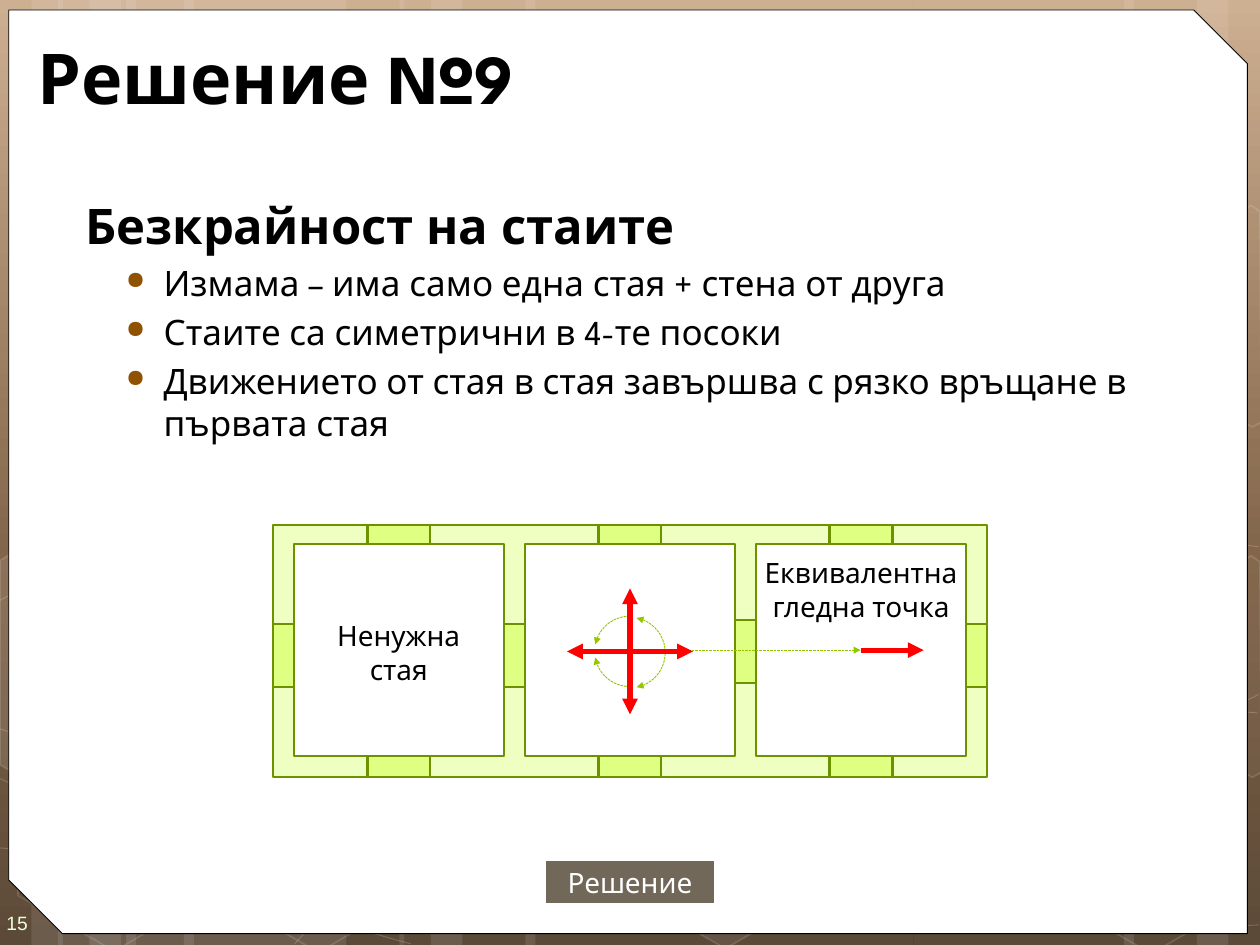
from lxml.etree import SubElement
from pptx import Presentation
from pptx.dml.color import RGBColor
from pptx.enum.dml import MSO_LINE
from pptx.enum.shapes import MSO_CONNECTOR, MSO_SHAPE
from pptx.enum.text import MSO_ANCHOR, PP_ALIGN
from pptx.oxml.ns import qn
from pptx.util import Inches, Pt

FONT = "League Spartan"
WHITE, BLACK, RED = "FFFFFF", "000000", "FF0000"
WALL, DOOR, EDGE, PATH = "EFFFC1", "DFFF82", "6D9200", "94C600"


def color(value):
    return RGBColor.from_string(value)


def set_alpha(fill_element, percent):
    SubElement(fill_element[0], qn("a:alpha"), val=str(percent * 1000))


class SlideBuilder:
    def __init__(self, slide):
        self.slide = slide

    def background(self, stops):
        fill = self.slide.background.fill
        fill.gradient()
        fill.gradient_angle = 270
        stop_list = next(self.slide.element.iter(qn("a:gsLst")))
        for stop in list(stop_list):
            stop_list.remove(stop)
        for position, value in stops:
            stop = SubElement(stop_list, qn("a:gs"), pos=str(position * 1000))
            SubElement(stop, qn("a:srgbClr"), val=value)

    def style(self, shape, fill=None, line=None, width=1.25, fill_alpha=None,
              line_alpha=None, dash=False, arrows=(), arrow_size="med"):
        properties = shape.element.spPr
        if fill:
            shape.fill.solid()
            shape.fill.fore_color.rgb = color(fill)
            if fill_alpha:
                set_alpha(properties.find(qn("a:solidFill")), fill_alpha)
        elif hasattr(shape, "fill"):
            shape.fill.background()
        if line:
            shape.line.color.rgb = color(line)
            shape.line.width = Pt(width)
            if dash:
                shape.line.dash_style = MSO_LINE.SQUARE_DOT
            outline = properties.find(qn("a:ln"))
            if line_alpha:
                set_alpha(outline.find(qn("a:solidFill")), line_alpha)
            for end in arrows:
                SubElement(outline, qn("a:" + end), type="triangle",
                           w=arrow_size, len=arrow_size)
        else:
            shape.line.fill.background()

    def shape(self, kind, box, rotation=0, adjustments=(), **style):
        shape = self.slide.shapes.add_shape(kind, *map(Inches, box))
        shape.shadow.inherit = False
        shape.rotation = rotation
        for index, value in enumerate(adjustments):
            shape.adjustments[index] = value
        self.style(shape, **style)
        return shape

    def outline(self, points, close, **style):
        start, *rest = [(Inches(x), Inches(y)) for x, y in points]
        builder = self.slide.shapes.build_freeform(*start)
        builder.add_line_segments(rest, close=close)
        shape = builder.convert_to_shape()
        shape.shadow.inherit = False
        self.style(shape, **style)
        return shape

    def curve(self, points, **style):
        """Points are a start followed by cubic triples."""
        shape = self.outline(points, False, **style)
        segments = list(shape.element.iter(qn("a:lnTo")))
        outline = segments[0].getparent()
        for index, segment in enumerate(segments):
            if index % 3 == 0:
                cubic = SubElement(outline, qn("a:cubicBezTo"))
            cubic.append(segment[0])
            outline.remove(segment)

    def arrow(self, start, end, **style):
        line = self.slide.shapes.add_connector(
            MSO_CONNECTOR.STRAIGHT, *map(Inches, start + end))
        self.style(line, arrows=["tailEnd"], **style)
        SubElement(line.element.spPr, qn("a:effectLst"))

    def run(self, paragraph, text, size, value=BLACK, bold=False, font=FONT):
        run = paragraph.add_run()
        run.text = text
        run.font.size, run.font.bold, run.font.name = Pt(size), bold, font
        run.font.color.rgb = color(value)

    def text(self, box, lines, size, align=PP_ALIGN.LEFT, anchor=MSO_ANCHOR.TOP,
             insets=(0.1, 0.05, 0.1, 0.05), shape=None, **font):
        shape = shape or self.slide.shapes.add_textbox(*map(Inches, box))
        frame = shape.text_frame
        frame.word_wrap, frame.vertical_anchor = True, anchor
        (frame.margin_left, frame.margin_top,
         frame.margin_right, frame.margin_bottom) = map(Inches, insets)
        for index, line in enumerate(lines):
            paragraph = frame.add_paragraph() if index else frame.paragraphs[0]
            paragraph.alignment = align
            self.run(paragraph, line, size, **font)
        return frame

    def bullet(self, frame, text, size):
        paragraph = frame.add_paragraph()
        paragraph.space_before = Pt(size * 0.2)
        properties = paragraph._p.get_or_add_pPr()
        properties.set("marL", str(Inches(0.7)))
        properties.set("indent", str(Inches(-0.3)))
        bullet_color = SubElement(properties, qn("a:buClr"))
        SubElement(bullet_color, qn("a:srgbClr"), val="8F5201")
        SubElement(properties, qn("a:buSzPct"), val="70000")
        SubElement(properties, qn("a:buChar"), char="●")
        self.run(paragraph, text, size)


presentation = Presentation()
presentation.slide_width, presentation.slide_height = Inches(10), Inches(7.5)
builder = SlideBuilder(presentation.slides.add_slide(presentation.slide_layouts[6]))

# Backdrop stripes
builder.background([(0, "C8A685"), (62, "705032"), (100, "4A3622")])
for left, width in [(1, 1.75), (0, 0.5), (0.25, 0.83), (1.46, 1.75), (0.46, 0.5),
                    (0.71, 0.83), (7.25, 1.75), (9.5, 0.5), (8.92, 0.83),
                    (4.17, 3.08), (3.17, 0.5), (3.42, 0.83)]:
    builder.shape(MSO_SHAPE.RECTANGLE, (left, 0, width, 7.5), fill=WHITE, fill_alpha=10)

# Backdrop waves
waves = [
    [(-0.01, 6.73), (0.53, 6.76), (1.07, 6.79), (1.82, 6.78), (2.57, 6.77), (3.49, 6.75),
     (4.5, 6.65), (5.5, 6.55), (6.92, 6.36), (7.83, 6.17), (8.75, 5.98), (9.69, 5.68),
     (9.99, 5.51)],
    [(-0.01, 4.77), (0.28, 4.61), (0.56, 4.46), (1.13, 4.31), (1.7, 4.16), (2.5, 3.94),
     (3.39, 3.87), (4.28, 3.8), (5.36, 3.79), (6.46, 3.87), (7.56, 3.95), (9.39, 4.26),
     (9.99, 4.34)],
    [(-0.02, 6.17), (1.18, 6.72), (2.39, 7.27), (3.26, 7.49)],
    [(-0.01, 5.78), (0.3, 5.89), (0.61, 6), (1.2, 6.16), (1.78, 6.31), (2.65, 6.56),
     (3.48, 6.73), (4.32, 6.9), (5.37, 7.08), (6.2, 7.18), (7.02, 7.29), (7.91, 7.33),
     (8.44, 7.36), (8.97, 7.4), (9.11, 7.38), (9.37, 7.38), (9.62, 7.37), (9.81, 7.35),
     (9.99, 7.34)],
    [(2.34, 7.49), (2.52, 7.29), (2.69, 7.09), (2.94, 6.91), (3.18, 6.73), (3.51, 6.53),
     (3.79, 6.39), (4.07, 6.25), (4.24, 6.19), (4.61, 6.09), (4.98, 5.99), (5.65, 5.85),
     (6, 5.78), (6.35, 5.71), (6.41, 5.71), (6.72, 5.69), (7.03, 5.66), (7.51, 5.63),
     (7.86, 5.62), (8.2, 5.61), (8.78, 5.62), (8.78, 5.62), (9, 5.62), (9.22, 5.62),
     (9.44, 5.62), (9.63, 5.63), (9.8, 5.64), (9.88, 5.65), (9.97, 5.66), (9.94, 5.65),
     (9.98, 5.66)],
]
for wave in waves:
    builder.curve(wave, line=WHITE, width=0.5, line_alpha=20)

# Backdrop hexagons, whole and cut by the slide edge
hexagon_line = dict(line=WHITE, width=1, line_alpha=12)
for left, top, alpha in [(4.88, 5.89, 6), (0.03, 5.91, 0), (1.65, 5.92, 0), (8.26, 5.93, 0)]:
    builder.shape(MSO_SHAPE.HEXAGON, (left, top, 1.75, 1.52), 30, (0.285, 1.155),
                  fill=WHITE if alpha else None, fill_alpha=alpha, **hexagon_line)
builder.outline([(0, 4.45), (0.11, 4.38), (0.87, 4.82), (0.87, 5.7), (0.12, 6.14), (0, 6.07)],
                True, fill=WHITE, fill_alpha=10, **hexagon_line)
for top, alpha in [(4.41, 4), (1.63, 0)]:
    points = [(9.18, 0.44), (9.93, 0), (10, 0.05), (10.01, 1.72), (9.94, 1.76), (9.17, 1.32)]
    builder.outline([(x, top + y) for x, y in points], True,
                    fill=WHITE if alpha else None, fill_alpha=alpha, **hexagon_line)

# Panel, slide number, title
builder.shape(MSO_SHAPE.SNIP_2_DIAG_RECTANGLE, (0.07, 0.08, 9.83, 7.33),
              adjustments=(0, 0.058), fill=WHITE, line=BLACK, width=0.5)
builder.text((0, 7.1, 0.58, 0.4), ["15"], 11, anchor=MSO_ANCHOR.MIDDLE,
             insets=(0.05, 0.15, 0, 0.1), value="EEFFD6", font="Arial")
builder.text((0.2, 0.25, 9.47, 0.71), ["Решение №9"], 40,
             anchor=MSO_ANCHOR.MIDDLE, bold=True)

# Body
body = builder.text((0.5, 1.5, 9.42, 5.92), ["Безкрайност на стаите"], 28, bold=True)
body.paragraphs[0].space_before = Pt(5.6)
body.paragraphs[0]._p.get_or_add_pPr().set("marL", str(Inches(0.08)))
for item in ["Измама – има само една стая + стена от друга",
             "Стаите са симетрични в 4-те посоки",
             "Движението от стая в стая завършва с рязко връщане в първата стая"]:
    builder.bullet(body, item, 20)

# Button
button_box = (13 / 3, 41 / 6, 4 / 3, 1 / 3)
button = builder.shape(MSO_SHAPE.RECTANGLE, button_box, fill="71685A")
builder.text(button_box, ["Решение"], 16, PP_ALIGN.CENTER, MSO_ANCHOR.MIDDLE,
             (0, 0.05, 0, 0.05), button, value=WHITE)

# Floor plan: walls, rooms and doors
wall, room, door = 1 / 6, 5 / 3, 0.5
pitch = wall + room
plan_left, plan_top = 13 / 6, 25 / 6
room_top = plan_top + 0.15
plan = dict(line=EDGE)
builder.shape(MSO_SHAPE.RECTANGLE, (plan_left, plan_top, 3 * pitch + wall, 2),
              fill=WALL, **plan)
for index in range(3):
    left = plan_left + wall + index * pitch
    builder.shape(MSO_SHAPE.RECTANGLE, (left, room_top, room, 6 - room_top),
                  fill=WHITE, **plan)
    for center, depth in [(plan_top + 0.075, 0.15), (6 + wall / 2, wall)]:
        builder.shape(MSO_SHAPE.RECTANGLE, (left + room / 2 - depth / 2, center - door / 2,
                                            depth, door), 270, fill=DOOR, **plan)
for index, top in enumerate([4.95, 4.95, 4.92, 4.95]):
    builder.shape(MSO_SHAPE.RECTANGLE, (plan_left + index * pitch, top, wall, door),
                  fill=DOOR, **plan)

# Room labels
for left, top, lines in [(5.75, 4.36, ["Еквивалентна гледна точка"]),
                         (2.08, 4.86, ["Ненужна", "стая"])]:
    builder.text((left, top, 2.17, 0.64), lines, 16, PP_ALIGN.CENTER)

# Turning arcs and the line of sight
dashed = dict(line=PATH, width=0.5, dash=True, arrow_size="sm")
for top, angles, arrows in [(4.9, (168.49, 47.46), ["headEnd", "tailEnd"]),
                            (4.89, (53.66, 101.96), ["tailEnd"]),
                            (4.89, (114.8, 161.99), ["headEnd"])]:
    builder.shape(MSO_SHAPE.ARC, (4.72, top, 0.56, 0.56), adjustments=angles,
                  arrows=arrows, **dashed)
builder.arrow((5.12, 5.16), (6.83, 5.16), **dashed)

# View directions
for x, y in [(-0.5, 0), (0, -0.5), (0, 0.5), (0.5, 0)]:
    builder.arrow((5, 5.17), (5 + x, 5.17 + y), line=RED, width=3)
builder.arrow((6.83, 5.16), (7.33, 5.16), line=RED, width=3)

presentation.save("out.pptx")
